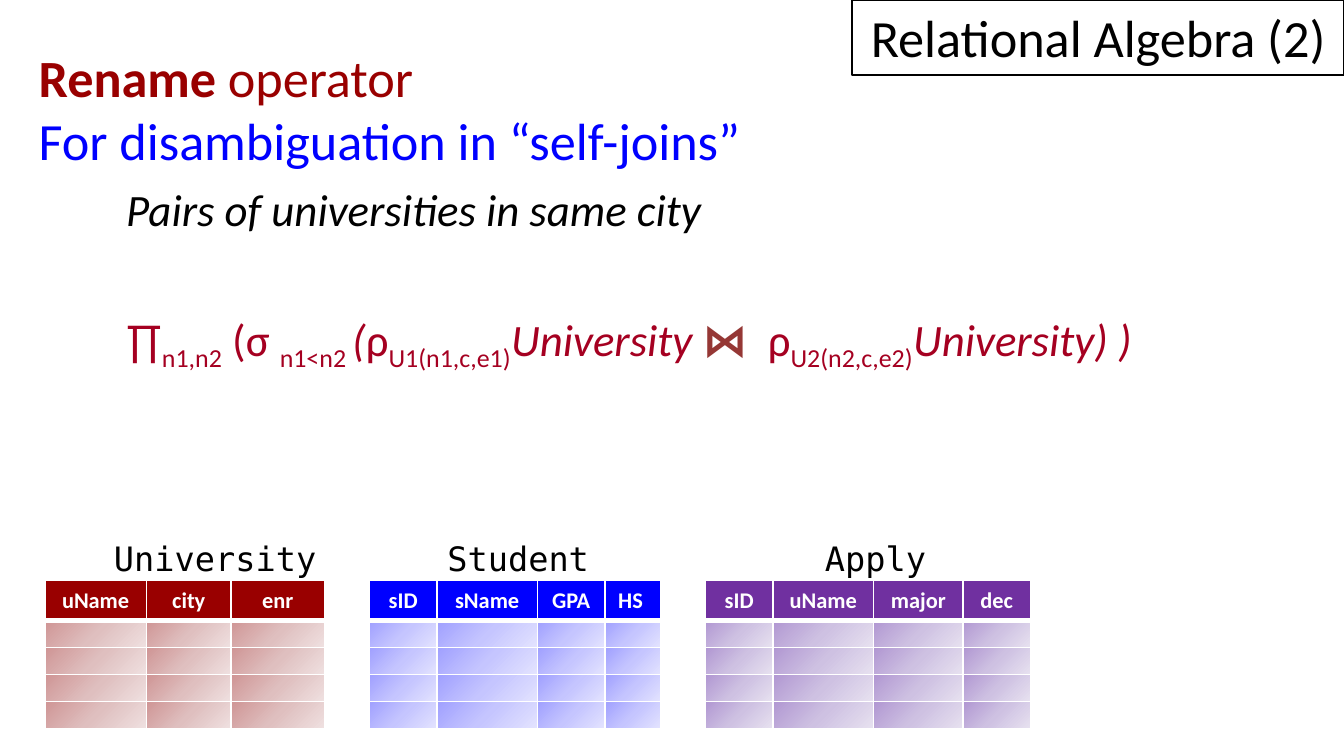
from lxml.etree import SubElement
from pptx import Presentation
from pptx.dml.color import RGBColor
from pptx.enum.text import MSO_ANCHOR as Anchor, MSO_AUTO_SIZE as AutoSize, PP_ALIGN as Align
from pptx.oxml.ns import qn
from pptx.util import Pt

BLACK = RGBColor(0x00, 0x00, 0x00)
WHITE = RGBColor(0xFF, 0xFF, 0xFF)
RED = RGBColor(0x99, 0x00, 0x00)
BLUE = RGBColor(0x00, 0x00, 0xFF)
PURPLE = RGBColor(0x70, 0x30, 0xA0)
CRIMSON = RGBColor(0xA5, 0x00, 0x21)
BRICK = RGBColor(0x95, 0x37, 0x35)
RED_TINTS = [RGBColor(0xCF, 0x95, 0x95), RGBColor(0xDF, 0xBF, 0xBF), RGBColor(0xEF, 0xE0, 0xE0)]
BLUE_TINTS = [RGBColor(0xA0, 0xA0, 0xFF), RGBColor(0xC5, 0xC5, 0xFF), RGBColor(0xE3, 0xE3, 0xFF)]
PURPLE_TINTS = [RGBColor(0xB1, 0x97, 0xD2), RGBColor(0xCE, 0xC1, 0xE2), RGBColor(0xE7, 0xE1, 0xF0)]


def add_text(paragraph, text, size=24, color=BLACK, bold=False, italic=False,
             font="Calibri", subscript=False):
    run = paragraph.add_run()
    run.text = text
    run.font.name = font
    run.font.size = Pt(size)
    run.font.color.rgb = color
    run.font.bold = bold
    run.font.italic = italic
    if subscript:
        run.font._element.set("baseline", "-25000")


def style_cell(cell, colors, top=1, bottom=1):
    """White borders, then a solid fill for one colour or a gradient for several."""
    cell.margin_top = cell.margin_bottom = 0
    cell.vertical_anchor = Anchor.MIDDLE
    properties = cell._tc.get_or_add_tcPr()
    for side, width in (("L", 1), ("R", 1), ("T", top), ("B", bottom)):
        border = SubElement(properties, qn(f"a:ln{side}"), w=str(Pt(width)))
        SubElement(SubElement(border, qn("a:solidFill")), qn("a:srgbClr"), val=str(WHITE))
    if len(colors) == 1:
        cell.fill.solid()
        cell.fill.fore_color.rgb = colors[0]
        return
    gradient = SubElement(properties, qn("a:gradFill"))
    stops = SubElement(gradient, qn("a:gsLst"))
    for position, color in zip((0, 50000, 100000), colors):
        stop = SubElement(stops, qn("a:gs"), pos=str(position))
        SubElement(stop, qn("a:srgbClr"), val=str(color))
    SubElement(gradient, qn("a:lin"), ang="2700000", scaled="0")


prs = Presentation()
prs.slide_width, prs.slide_height = Pt(720), Pt(405)
slide = prs.slides.add_slide(prs.slide_layouts[5])

# Title in a framed corner box
title = slide.shapes.title
title.left, title.top, title.width, title.height = Pt(456.5), Pt(0), Pt(263.5), Pt(40.3)
title.line.color.rgb = BLACK
title.line.width = Pt(0.75)
title.text_frame.auto_size = AutoSize.NONE
title.text_frame.vertical_anchor = Anchor.BOTTOM
title.text_frame.paragraphs[0].alignment = Align.CENTER
add_text(title.text_frame.paragraphs[0], "Relational Algebra (2)", size=28)

# Heading lines
heading = slide.shapes.add_textbox(Pt(6.5), Pt(20.9), Pt(629.3), Pt(236.2)).text_frame
operator_line, purpose_line = heading.paragraphs[0], heading.add_paragraph()
add_text(operator_line, "Rename ", size=28, color=RED, bold=True)
add_text(operator_line, "operator", size=28, color=RED)
add_text(purpose_line, "For disambiguation in “self-joins”", size=28, color=BLUE)
purpose_line.space_after = Pt(6)

# Example query and its expression
example = slide.shapes.add_textbox(Pt(21.6), Pt(93.6), Pt(716.4), Pt(179.3)).text_frame
query, expression = example.paragraphs[0], example.add_paragraph()
query.space_before = Pt(12)
expression.space_before = Pt(35)
add_text(query, "Pairs of universities in same city", italic=True)
for text, style in [
    ("∏", {}),
    ("n1,n2", {"subscript": True}),
    (" (σ ", {}),
    ("n1<n2 ", {"subscript": True}),
    ("(", {"italic": True}),
    ("ρ", {}),
    ("U1(n1,c,e1)", {"subscript": True}),
    ("University ", {"italic": True}),
    ("⋈  ", {"color": BRICK, "bold": True}),
    ("ρ", {}),
    ("U2(n2,c,e2)", {"subscript": True}),
    ("University) )", {"italic": True}),
]:
    add_text(expression, text, **{"color": CRIMSON, **style})
for line in (query, expression):
    line.level = 1
    line.space_after = Pt(6)

# Hanging indents
for frame, margin in ((heading, 47.5), (example, 79.2)):
    frame.word_wrap = True
    for line in frame.paragraphs:
        indents = line._p.get_or_add_pPr()
        indents.set("marL", str(Pt(margin)))
        indents.set("indent", str(Pt(-40.3)))

# Relations: name, name left, table left, columns with widths, header colour, body tints
relations = [
    ("University", 54, 124.6, 24,
     {"uName": 54.5, "city": 45.3, "enr": 50}, RED, RED_TINTS),
    ("Student", 232.6, 91.4, 198,
     {"sID": 36, "sName": 54, "GPA": 36, "HS": 30}, BLUE, BLUE_TINTS),
    ("Apply", 434.9, 69.1, 378,
     {"sID": 36, "uName": 54, "major": 48, "dec": 36}, PURPLE, PURPLE_TINTS),
]
for name, name_left, name_width, left, columns, color, tints in relations:
    label = slide.shapes.add_textbox(Pt(name_left), Pt(284.4), Pt(name_width), Pt(28.8))
    label.text_frame.word_wrap = False
    add_text(label.text_frame.paragraphs[0], name, size=18, font="DejaVu Sans Mono")

    relation = slide.shapes.add_table(5, len(columns), Pt(left), Pt(311),
                                      Pt(sum(columns.values())), Pt(79.2)).table
    for row_index, row in enumerate(relation.rows):
        row.height = Pt(14.4 if row_index else 21.6)
    for column_index, (attribute, width) in enumerate(columns.items()):
        relation.columns[column_index].width = Pt(width)
        header = relation.cell(0, column_index)
        style_cell(header, [color], bottom=3)
        header_line = header.text_frame.paragraphs[0]
        header_line.alignment = Align.LEFT if attribute == "HS" else Align.CENTER
        add_text(header_line, attribute, size=12, color=WHITE, bold=True)
        for row_index in range(1, 5):
            body = relation.cell(row_index, column_index)
            style_cell(body, tints, top=3 if row_index == 1 else 1)
            # A small end mark keeps the empty rows low
            SubElement(body.text_frame.paragraphs[0]._p, qn("a:endParaRPr"), sz="800")

prs.save("out.pptx")
